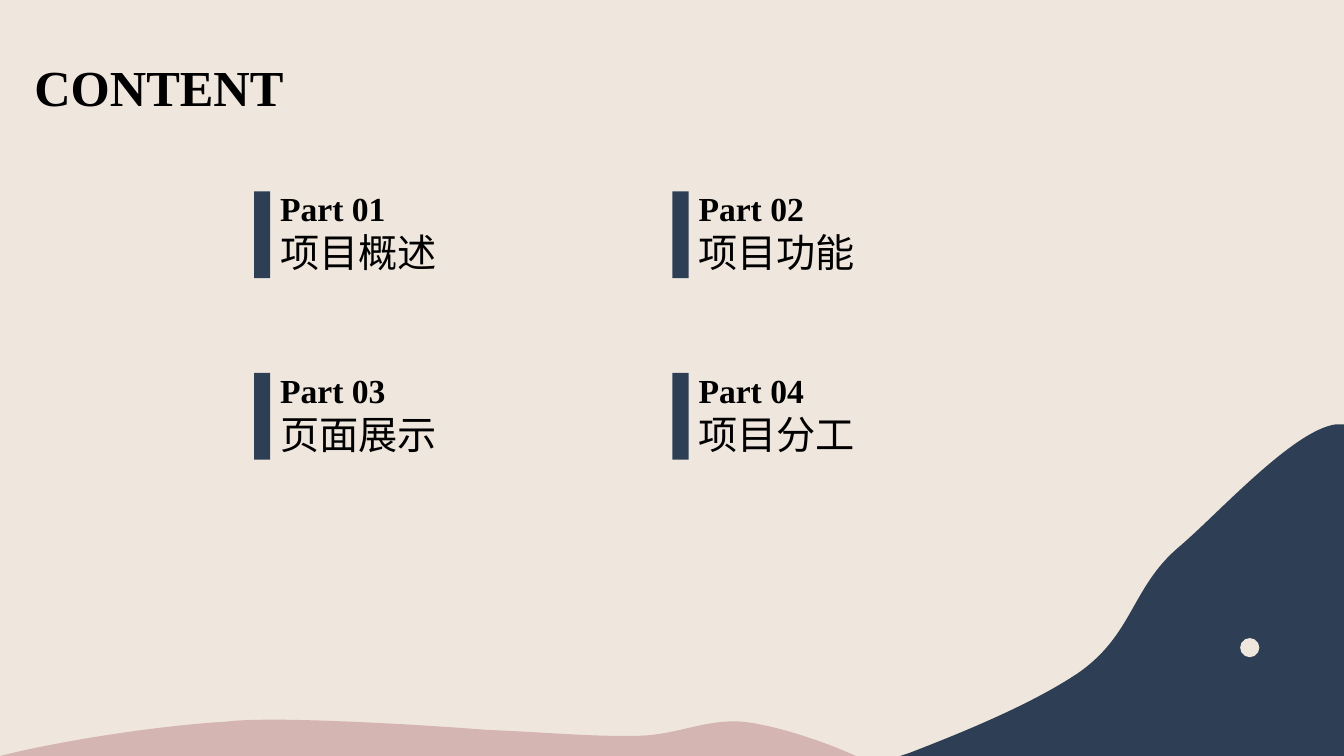
"""Builds the CONTENT agenda slide with four parts and wavy hills."""
from dataclasses import dataclass

import pptx
import pptx.dml.color
import pptx.enum.shapes
import pptx.enum.text
import pptx.oxml.ns
import pptx.util
from lxml import etree

Inches = pptx.util.Inches
Pt = pptx.util.Pt
RGBColor = pptx.dml.color.RGBColor
MSO_SHAPE = pptx.enum.shapes.MSO_SHAPE
qn = pptx.oxml.ns.qn

CREAM = RGBColor(0xEF, 0xE6, 0xDD)
NAVY = RGBColor(0x2E, 0x3F, 0x55)
ROSE = RGBColor(0xD4, 0xB5, 0xB2)
BLACK = RGBColor(0, 0, 0)
SERIF = "Times New Roman"
SANS = "Noto Sans CJK SC"

TITLE_FONT = {"name": SERIF, "size": Pt(36), "bold": True}
PART_FONT = {"name": SERIF, "size": Pt(24), "bold": True}
TOPIC_FONT = {"name": SANS, "size": Pt(28), "bold": False}

TOPICS = ["项目概述", "项目功能", "页面展示", "项目分工"]
LEFT, TOP = 2.52, 1.9
COLUMN_STEP, ROW_STEP = 4.15, 1.8

Point = tuple[float, float]


@dataclass
class Hill:
    """An outline whose segments hold one point (line) or three (curve)."""
    color: RGBColor
    start: Point
    segments: list[list[Point]]


HILLS = [
    Hill(ROSE, (2.79, 7.14), [
        [(3.68, 7.15), (4.81, 7.24), (4.81, 7.24)],
        [(5.5, 7.27), (5.88, 7.31), (6.33, 7.3)],
        [(6.77, 7.29), (7.06, 7.09), (7.5, 7.18)],
        [(7.73, 7.22), (8.06, 7.32), (8.35, 7.44)],
        [(8.49, 7.5)],
        [(0, 7.5)],
        [(0.04, 7.49)],
        [(0.61, 7.35), (1.55, 7.2), (2.24, 7.16)],
        [(2.4, 7.14), (2.59, 7.14), (2.79, 7.14)],
    ]),
    Hill(NAVY, (13.33, 7.51), [
        [(8.9, 7.51)],
        [(9.02, 7.47)],
        [(9.67, 7.22), (10.27, 6.96), (10.69, 6.68)],
        [(11.24, 6.3), (11.22, 5.83), (11.69, 5.43)],
        [(12.07, 5.11), (12.82, 4.27), (13.25, 4.21)],
        [(13.33, 4.21)],
        [(13.33, 7.51)],
    ]),
]


def paint(sp, color: RGBColor) -> None:
    """Give a shape a plain fill without line or shadow."""
    sp.shadow.inherit = False
    sp.fill.solid()
    sp.fill.fore_color.rgb = color
    sp.line.fill.background()


def add_block(slide, kind, box: tuple, color: RGBColor) -> None:
    """Draw a preset shape."""
    paint(slide.shapes.add_shape(kind, *map(Inches, box)), color)


def add_hill(slide, hill: Hill) -> None:
    """Draw a closed outline and bend its curved segments."""
    builder = slide.shapes.build_freeform(*map(Inches, hill.start))
    ends = [tuple(map(Inches, segment[-1])) for segment in hill.segments]
    builder.add_line_segments(ends, close=True)
    sp = builder.convert_to_shape()
    paint(sp, hill.color)
    lines = list(sp._element.iter(qn("a:lnTo")))
    for line, segment in zip(lines, hill.segments):
        if len(segment) == 1:
            continue
        curve = etree.Element(qn("a:cubicBezTo"))
        for x, y in segment:
            pt = etree.SubElement(curve, qn("a:pt"))
            pt.set("x", str(Inches(x) - sp.left))
            pt.set("y", str(Inches(y) - sp.top))
        line.getparent().replace(line, curve)


def write(p, text: str, font: dict) -> None:
    """Add a black run with the same Latin and East Asian font."""
    r = p.add_run()
    r.text = text
    for key, value in font.items():
        setattr(r.font, key, value)
    r.font.color.rgb = BLACK
    ea = etree.SubElement(r.font._element, qn("a:ea"))
    ea.set("typeface", font["name"])


def add_title(slide) -> None:
    """Place and write the title."""
    sp = slide.shapes.title
    sp.left, sp.top, sp.width, sp.height = map(Inches, (0.24, 0.5, 2.83, 0.71))
    tf = sp.text_frame
    tf.auto_size = pptx.enum.text.MSO_AUTO_SIZE.NONE
    p = tf.paragraphs[0]
    p.alignment = pptx.enum.text.PP_ALIGN.LEFT
    write(p, "CONTENT", TITLE_FONT)


def add_part(slide, index: int, topic: str) -> None:
    """Draw one bar with its part number and topic."""
    row, column = divmod(index, 2)
    x, y = LEFT + column * COLUMN_STEP, TOP + row * ROW_STEP
    add_block(slide, MSO_SHAPE.RECTANGLE, (x, y, 0.16, 0.86), NAVY)
    sp = slide.shapes.add_textbox(*map(Inches, (x + 0.16, y - 0.08, 2.67, 0.97)))
    tf = sp.text_frame
    tf.word_wrap = True
    tf.auto_size = pptx.enum.text.MSO_AUTO_SIZE.SHAPE_TO_FIT_TEXT
    write(tf.paragraphs[0], f"Part {index + 1:02}", PART_FONT)
    write(tf.add_paragraph(), topic, TOPIC_FONT)


def main() -> None:
    """Build and save the slide."""
    prs = pptx.Presentation()
    prs.slide_width, prs.slide_height = Inches(13.33), Inches(7.5)
    slide = prs.slides.add_slide(prs.slide_layouts[5])
    slide.background.fill.solid()
    slide.background.fill.fore_color.rgb = CREAM
    add_title(slide)
    for hill in HILLS:
        add_hill(slide, hill)
    add_block(slide, MSO_SHAPE.OVAL, (12.3, 6.33, 0.19, 0.19), CREAM)
    for index, topic in enumerate(TOPICS):
        add_part(slide, index, topic)
    prs.save("out.pptx")


if __name__ == "__main__":
    main()
